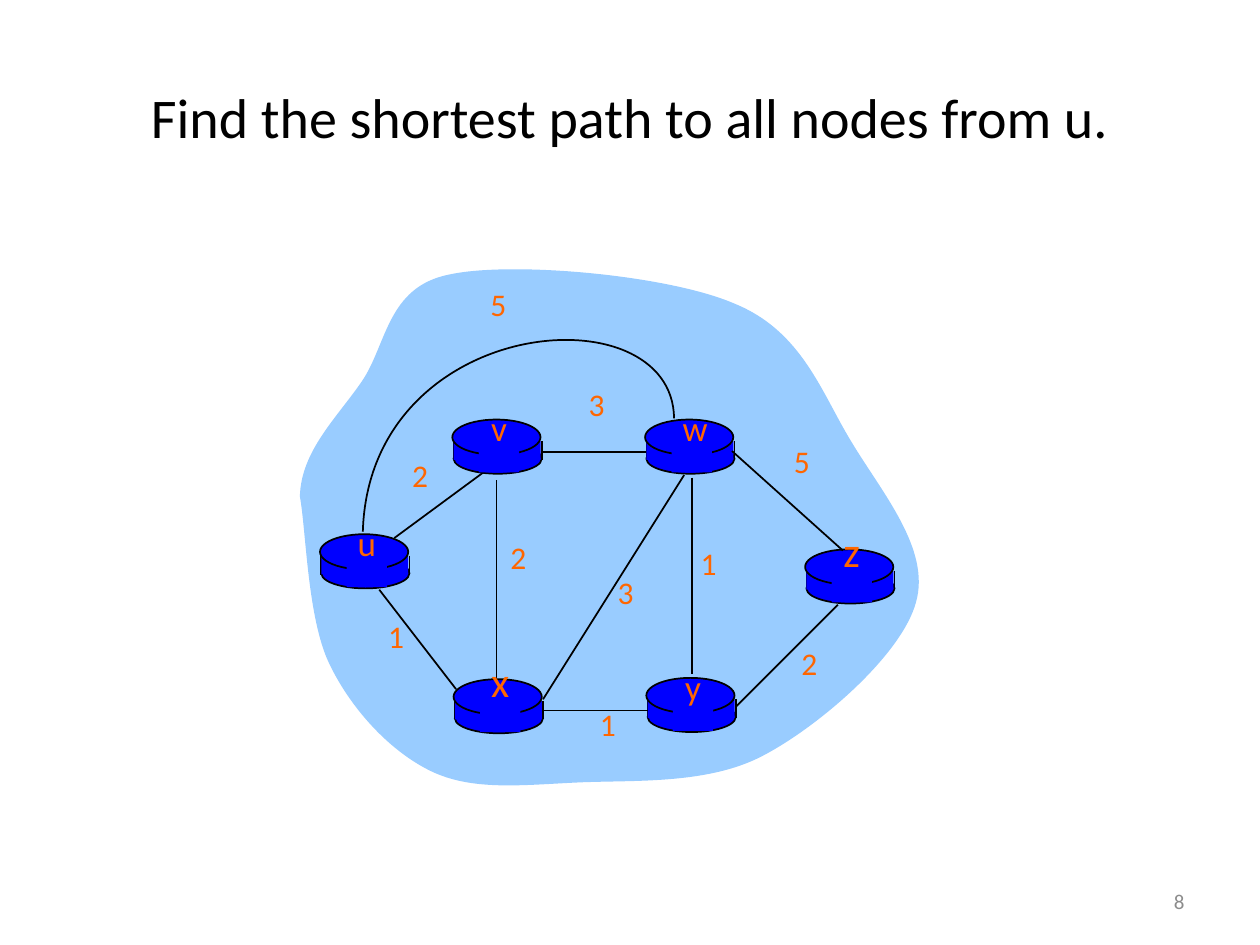
import pptx
import pptx.util
import pptx.dml.color
import pptx.enum.shapes
import pptx.enum.text
import pptx.oxml.ns
import pptx.oxml.xmlchemy

INCH = 2.54
RGB = pptx.dml.color.RGBColor.from_string
KIND = pptx.enum.shapes.MSO_SHAPE
ALIGN = pptx.enum.text.PP_ALIGN
MIDDLE = pptx.enum.text.MSO_ANCHOR.MIDDLE
HUES = {"cloud": "99CCFF", "node": "0000FF", "line": "000000",
        "mark": "FF6600", "title": "000000", "page": "8C8C8C"}

deck = pptx.Presentation()
deck.slide_width = pptx.util.Cm(10 * INCH)
deck.slide_height = pptx.util.Cm(7.5 * INCH)
slide = deck.slides.add_slide(deck.slide_layouts[5])
shapes = slide.shapes


def link(*ends):
    wire = shapes.add_connector(pptx.enum.shapes.MSO_CONNECTOR.STRAIGHT,
                                *[pptx.util.Cm(v * INCH) for v in ends])
    wire.line.color.rgb = RGB(HUES["line"])
    wire.line.width = pptx.util.Pt(1)
    wire._element.spPr.append(
        pptx.oxml.xmlchemy.OxmlElement("a:effectLst"))


def write(box, place, text, size, hue, align=ALIGN.CENTER, wrap=False):
    for key, val in zip(("left", "top", "width", "height"), place):
        setattr(box, key, pptx.util.Cm(val * INCH))
    box.text_frame.word_wrap = wrap
    para = box.text_frame.paragraphs[0]
    para.alignment = align
    run = para.add_run()
    run.text = text
    look = {"size": pptx.util.Pt(size), "name": "Calibri"}
    for key, val in look.items():
        setattr(run.font, key, val)
    run.font.color.rgb = RGB(HUES[hue])


# Title and page number
write(shapes.title, (0.5, 0.3, 9, 1.25),
      "Find the shortest path to all nodes from u.", 32, "title", wrap=True)
shapes.title.text_frame.vertical_anchor = MIDDLE
page = shapes.add_textbox(0, 0, 0, 0)
write(page, (7.17, 6.95, 2.33, 0.4), "8", 12, "page", ALIGN.RIGHT, True)
page.text_frame.vertical_anchor = MIDDLE

# Cloud and long arc: a start point, then three points per curve
cloud = [(2.38, 3.94),
         (2.39, 3.58), (2.67, 3.32), (2.87, 3.03),
         (3.07, 2.74), (3.07, 2.28), (3.56, 2.18),
         (4.05, 2.07), (5.3, 2.18), (5.83, 2.41),
         (6.37, 2.63), (6.52, 3.12), (6.76, 3.51),
         (7, 3.91), (7.39, 4.36), (7.27, 4.78),
         (7.16, 5.19), (6.52, 5.75), (6.07, 5.99),
         (5.63, 6.23), (5.03, 6.19), (4.59, 6.21),
         (4.15, 6.23), (3.75, 6.28), (3.42, 6.12),
         (3.09, 5.96), (2.78, 5.62), (2.61, 5.26),
         (2.44, 4.9), (2.43, 4.21), (2.38, 3.94)]
arc = [(5.35, 3.32), (5.34, 2.3), (2.93, 2.49), (2.88, 4.22)]
for points, closed in ((cloud, True), (arc, False)):
    spots = [(pptx.util.Cm(x * INCH), pptx.util.Cm(y * INCH))
             for x, y in points]
    pen = shapes.build_freeform(*spots[0])
    pen.add_line_segments(spots[1:], close=closed)
    curve = pen.convert_to_shape()
    curve.shadow.inherit = False
    if closed:
        curve.fill.solid()
        curve.fill.fore_color.rgb = RGB(HUES["cloud"])
        curve.line.fill.background()
    else:
        curve.fill.background()
        curve.line.color.rgb = RGB(HUES["line"])
        curve.line.width = pptx.util.Pt(1)
    # Turn each three straight steps into one cubic curve
    steps = list(curve._element.iter(pptx.oxml.ns.qn("a:lnTo")))
    for i in range(0, len(steps) - 2, 3):
        bend = pptx.oxml.xmlchemy.OxmlElement("a:cubicBezTo")
        steps[i].addprevious(bend)
        for step in steps[i:i + 3]:
            bend.append(step[0])
            step.getparent().remove(step)

# Routers: base, sides, band, lid and patch
link(3.13, 4.27, 3.89, 3.71)
nodes = {"u": (2.54, 4.24, 20), "x": (3.6, 5.39, 24), "v": (3.59, 3.33, 20),
         "w": (5.12, 3.33, 20), "y": (5.13, 5.38, 20), "z": (6.39, 4.36, 24)}
parts = {"base": (KIND.OVAL, 0.01, 0.19, 0.7, 0.24),
         "band": (KIND.RECTANGLE, 0.01, 0.17, 0.69, 0.15),
         "lid": (KIND.OVAL, 0, 0, 0.7, 0.28),
         "patch": (KIND.RECTANGLE, 0.21, 0.03, 0.32, 0.39)}
for left, top, size in nodes.values():
    for part, (kind, dx, dy, wide, high) in parts.items():
        if part == "band":
            for side in (left + 0.01, left + 0.71):
                link(side, top + 0.17, side, top + 0.32)
        body = shapes.add_shape(kind, *[pptx.util.Cm(v * INCH) for v in
                                        (left + dx, top + dy, wide, high)])
        body.shadow.inherit = False
        body.fill.solid()
        body.fill.fore_color.rgb = RGB(HUES["node"])
        if kind == KIND.OVAL:
            body.line.color.rgb = RGB(HUES["line"])
            body.line.width = pptx.util.Pt(1)
        else:
            body.line.fill.background()

# Edges
for ends in ((5.49, 3.79, 5.49, 5.35), (3.94, 3.81, 3.94, 5.41),
             (4.31, 5.55, 5.43, 3.77), (5.84, 5.61, 6.65, 4.8),
             (5.14, 5.64, 4.32, 5.64), (3.62, 5.47, 3.01, 4.68),
             (5.13, 3.59, 4.31, 3.59), (6.69, 4.37, 5.81, 3.58)):
    link(*ends)

# Node names
for name, (left, top, size) in nodes.items():
    rise, high = (0.15, 0.44) if size == 20 else (0.24, 0.5)
    write(shapes.add_textbox(0, 0, 0, 0),
          (left + 0.2, top - rise, 0.34, high), name, size, "mark")

# Edge costs
for cost, left, top in (("2", 3.17, 3.57), ("2", 3.95, 4.22),
                        ("1", 2.98, 4.85), ("3", 4.8, 4.5),
                        ("1", 4.66, 5.55), ("1", 5.46, 4.27),
                        ("2", 6.26, 5.06), ("5", 6.2, 3.46),
                        ("3", 4.57, 3.01), ("5", 3.79, 2.21)):
    write(shapes.add_textbox(0, 0, 0, 0), (left, top, 0.33, 0.4),
          cost, 18, "mark")

deck.save("out.pptx")
